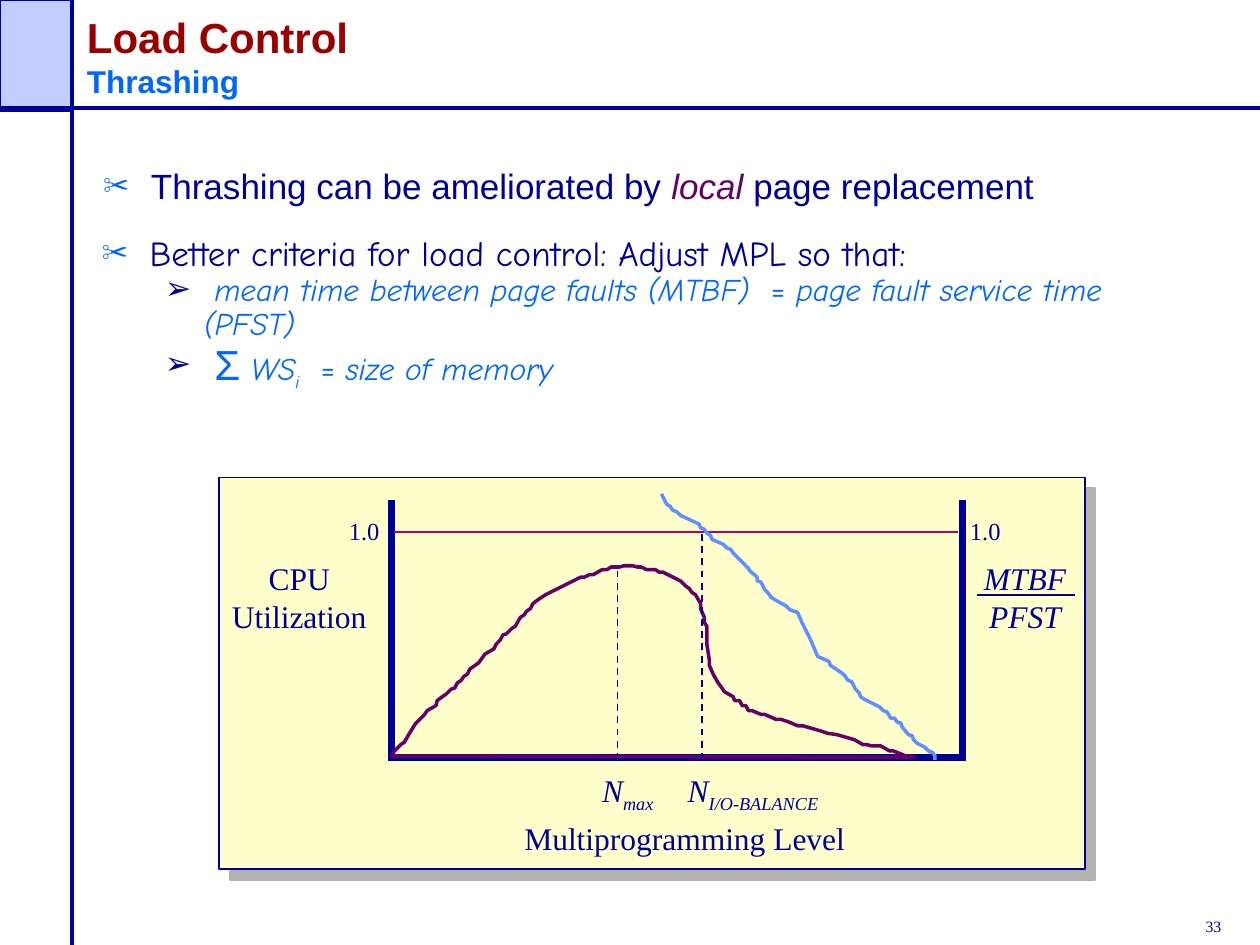
from dataclasses import dataclass

import pptx
import pptx.dml.color
import pptx.enum.dml
import pptx.enum.shapes
import pptx.enum.text
import pptx.oxml
import pptx.oxml.ns
import pptx.util
from lxml import etree

Inches = pptx.util.Inches
Pt = pptx.util.Pt
qn = pptx.oxml.ns.qn
Align = pptx.enum.text.PP_ALIGN


@dataclass(frozen=True)
class Theme:
    navy: str = "000099"
    blue: str = "0066FF"
    red: str = "990000"
    plum: str = "660066"
    magenta: str = "B50069"
    sky: str = "618FFD"
    lavender: str = "C1CEFF"
    cream: str = "FFFFCC"
    gray: str = "B2B2B2"
    sans: str = "Arial"
    hand: str = "Comic Neue"
    serif: str = "Times New Roman"
    title: float = 24
    lead: float = 20
    text: float = 18
    tick: float = 14
    number: float = 9


THEME = Theme()


@dataclass(frozen=True)
class Span:
    text: str
    italic: bool | None = None
    color: str | None = None
    size: float | None = None
    font: str | None = None
    subscript: bool = False


@dataclass(frozen=True)
class Bullet:
    mark: str
    color: str
    margin: float
    hang: float
    percent: int = 100


@dataclass(frozen=True)
class Para:
    spans: tuple[Span, ...]
    size: float = THEME.text
    font: str = THEME.serif
    color: str = THEME.navy
    italic: bool | None = None
    align: Align = Align.LEFT
    spacing: float | None = None
    bullet: Bullet | None = None


@dataclass(frozen=True)
class Label:
    area: tuple[float, float, float, float]
    paras: tuple[Para, ...]
    wrap: bool = False


@dataclass(frozen=True)
class Rule:
    start: tuple[float, float]
    end: tuple[float, float]
    width: float = 1
    color: str = THEME.navy
    dashed: bool = False


@dataclass(frozen=True)
class Curve:
    points: tuple[tuple[float, float], ...]
    color: str
    closed: bool = False


def rgb(color: str) -> pptx.dml.color.RGBColor:
    return pptx.dml.color.RGBColor.from_string(color)


def style(font, size, name, color, italic) -> None:
    if size:
        font.size = Pt(size)
    if name:
        font.name = name
    if color:
        font.color.rgb = rgb(color)
    if italic is not None:
        font.italic = italic


def add_bullet(paragraph, bullet: Bullet) -> None:
    props = paragraph._p.get_or_add_pPr()
    props.set("marL", str(Inches(bullet.margin)))
    props.set("indent", str(-Inches(bullet.hang)))
    tint = etree.SubElement(props, qn("a:buClr"))
    etree.SubElement(tint, qn("a:srgbClr")).set("val", bullet.color)
    etree.SubElement(props, qn("a:buSzPct")).set("val", str(bullet.percent * 1000))
    etree.SubElement(props, qn("a:buFont")).set("typeface", THEME.sans)
    etree.SubElement(props, qn("a:buChar")).set("char", bullet.mark)


def write(paragraph, para: Para) -> None:
    paragraph.alignment = para.align
    if para.spacing:
        paragraph.line_spacing = para.spacing
    if para.bullet:
        add_bullet(paragraph, para.bullet)
    style(paragraph.font, para.size, para.font, para.color, para.italic)
    for span in para.spans:
        run = paragraph.add_run()
        run.text = span.text
        style(run.font, span.size, span.font, span.color, span.italic)
        if span.subscript:
            run._r.get_or_add_rPr().set("baseline", "-25000")


def add_label(page, label: Label) -> None:
    frame = page.shapes.add_textbox(*map(Inches, label.area)).text_frame
    sizing = pptx.enum.text.MSO_AUTO_SIZE
    frame.word_wrap = label.wrap
    frame.auto_size = sizing.NONE if label.wrap else sizing.SHAPE_TO_FIT_TEXT
    for index, para in enumerate(label.paras):
        write(frame.add_paragraph() if index else frame.paragraphs[0], para)


def add_rule(page, rule: Rule) -> None:
    line = page.shapes.add_connector(
        pptx.enum.shapes.MSO_CONNECTOR.STRAIGHT, *map(Inches, rule.start + rule.end))
    line.line.width = Pt(rule.width)
    line.line.color.rgb = rgb(rule.color)
    if rule.dashed:
        line.line.dash_style = pptx.enum.dml.MSO_LINE.DASH
    etree.SubElement(line._element.spPr, qn("a:effectLst"))


def add_panel(page, area: tuple[float, float, float, float], fill: str):
    panel = page.shapes.add_shape(
        pptx.enum.shapes.MSO_SHAPE.RECTANGLE, *map(Inches, area))
    panel.shadow.inherit = False
    panel.fill.solid()
    panel.fill.fore_color.rgb = rgb(fill)
    panel.line.color.rgb = rgb(THEME.navy)
    panel.line.width = Pt(1)
    return panel


def add_drop_shadow(panel) -> None:
    effects = panel._element.spPr.find(qn("a:effectLst"))
    shadow = etree.SubElement(effects, qn("a:outerShdw"))
    shadow.set("dist", str(Pt(8.5)))
    shadow.set("dir", str(45 * 60000))
    shadow.set("algn", "ctr")
    shadow.set("rotWithShape", "0")
    etree.SubElement(shadow, qn("a:srgbClr")).set("val", THEME.gray)


def add_curve(page, curve: Curve) -> None:
    points = [(Inches(x), Inches(y)) for x, y in curve.points]
    builder = page.shapes.build_freeform(*points[0])
    builder.add_line_segments(points[1:], close=curve.closed)
    shape = builder.convert_to_shape()
    shape.shadow.inherit = False
    shape.fill.background()
    shape.line.color.rgb = rgb(curve.color)
    shape.line.width = Pt(2)


def add_title(page) -> None:
    title = page.shapes.title
    title.left, title.top, title.width, title.height = map(Inches, (0.59, 0.18, 8.7, 0.66))
    frame = title.text_frame
    frame.auto_size = pptx.enum.text.MSO_AUTO_SIZE.NONE
    frame.vertical_anchor = pptx.enum.text.MSO_ANCHOR.BOTTOM
    heading = frame.paragraphs[0]
    write(heading, Para((Span("Load Control "),), THEME.title, THEME.sans, THEME.red))
    heading.font.bold = True
    heading.add_line_break()
    subtitle = heading.add_run()
    subtitle.text = "Thrashing"
    style(subtitle.font, THEME.text, None, THEME.blue, None)


SCISSORS = Bullet("✂", THEME.blue, 0.38, 0.38, 75)
ARROW = Bullet("➢", THEME.navy, 0.81, 0.31)
CPU_CURVE = Curve((
    (3.11, 6), (3.13, 5.96), (3.18, 5.91), (3.21, 5.89), (3.25, 5.82), (3.3, 5.74), (3.37, 5.67),
    (3.39, 5.64), (3.46, 5.6), (3.47, 5.56), (3.51, 5.53), (3.54, 5.51), (3.58, 5.47), (3.61, 5.46),
    (3.63, 5.42), (3.66, 5.4), (3.68, 5.37), (3.71, 5.35), (3.73, 5.31), (3.8, 5.26), (3.85, 5.19),
    (3.92, 5.15), (3.94, 5.11), (3.97, 5.08), (3.99, 5.04), (4.02, 5.03), (4.06, 4.99), (4.09, 4.97),
    (4.13, 4.9), (4.16, 4.88), (4.18, 4.85), (4.21, 4.83), (4.23, 4.79), (4.27, 4.76), (4.33, 4.72),
    (4.47, 4.65), (4.61, 4.58), (4.64, 4.58), (4.68, 4.56), (4.71, 4.56), (4.78, 4.52), (4.82, 4.52),
    (4.85, 4.5), (4.92, 4.5), (4.95, 4.49), (5.02, 4.49), (5.06, 4.5), (5.09, 4.5), (5.13, 4.52),
    (5.2, 4.52), (5.23, 4.54), (5.26, 4.54), (5.4, 4.61), (5.44, 4.65), (5.47, 4.67), (5.49, 4.7),
    (5.52, 4.72), (5.56, 4.79), (5.56, 4.83), (5.59, 4.9), (5.59, 4.94), (5.61, 4.97), (5.61, 5.11),
    (5.63, 5.24), (5.63, 5.28), (5.66, 5.35), (5.7, 5.42), (5.73, 5.46), (5.75, 5.49), (5.82, 5.53),
    (5.83, 5.56), (5.87, 5.56), (5.89, 5.6), (5.92, 5.6), (5.94, 5.64), (5.97, 5.64), (6.04, 5.67),
    (6.07, 5.67), (6.16, 5.71), (6.2, 5.71), (6.26, 5.73), (6.33, 5.76), (6.37, 5.76), (6.44, 5.78),
    (6.51, 5.8), (6.57, 5.82), (6.64, 5.83), (6.71, 5.85), (6.78, 5.87), (6.85, 5.91), (6.88, 5.91),
    (6.92, 5.92), (6.99, 5.92), (7.06, 5.96), (7.09, 5.96), (7.19, 6), (7.23, 6), (7.26, 6.01),
), THEME.plum, closed=True)
RATIO_CURVE = Curve((
    (5.25, 3.92), (5.29, 4), (5.32, 4.02), (5.34, 4.05), (5.37, 4.06), (5.4, 4.09), (5.55, 4.16),
    (5.56, 4.19), (5.59, 4.2), (5.61, 4.23), (5.64, 4.25), (5.65, 4.28), (5.74, 4.32), (5.77, 4.35),
    (5.8, 4.36), (5.82, 4.39), (5.94, 4.51), (5.95, 4.53), (6.01, 4.58), (6.01, 4.61), (6.04, 4.62),
    (6.07, 4.68), (6.1, 4.71), (6.12, 4.74), (6.15, 4.76), (6.24, 4.81), (6.27, 4.84), (6.33, 4.86),
    (6.37, 4.95), (6.43, 5.07), (6.49, 5.21), (6.58, 5.25), (6.59, 5.28), (6.68, 5.34), (6.71, 5.37),
    (6.73, 5.4), (6.76, 5.41), (6.79, 5.47), (6.82, 5.5), (6.83, 5.53), (6.86, 5.55), (6.98, 5.61),
    (7.01, 5.64), (7.04, 5.65), (7.07, 5.7), (7.1, 5.7), (7.12, 5.73), (7.15, 5.74), (7.16, 5.77),
    (7.21, 5.83), (7.24, 5.84), (7.25, 5.87), (7.28, 5.9), (7.34, 5.93), (7.37, 5.96), (7.4, 5.97),
    (7.42, 6), (7.42, 6.03),
), THEME.sky)


def centered(*lines: str, italic: bool | None = None, spacing: float | None = None) -> tuple[Para, ...]:
    return tuple(Para((Span(line),), italic=italic, align=Align.CENTER, spacing=spacing) for line in lines)


def tick(left: float) -> Label:
    return Label((left, 4.05, 0.5, 0.33), (Para((Span("1.0"),), THEME.tick),))


def level(left: float, width: float, name: str) -> Label:
    return Label((left, 6.07, width, 0.44), (Para((Span("N"), Span(name, subscript=True)), italic=True),))


def criterion(*spans: Span) -> Para:
    return Para(spans, THEME.text, THEME.hand, THEME.blue, spacing=0.9, bullet=ARROW)


LABELS = (
    Label((9.47, 7.23, 0.72, 0.25), (Para((Span("33"),), THEME.number),)),
    Label((0.72, 1.26, 8.9, 0.76), (
        Para((Span("Thrashing can be ameliorated by "), Span("local", True, THEME.plum),
              Span(" page replacement")), THEME.lead, THEME.sans, bullet=SCISSORS),), True),
    Label((0.71, 1.79, 8.8, 1.29), (
        Para((Span("Better criteria for load control: Adjust MPL so that:"),),
             THEME.lead, THEME.hand, bullet=SCISSORS),
        criterion(Span(" "), Span("mean time between page faults (MTBF)  ", True), Span("= "),
                  Span("page fault service time (PFST)", True)),
        criterion(Span(" "), Span("Σ", size=THEME.title, font=THEME.sans), Span(" "), Span("WS", True),
                  Span("i", True, subscript=True), Span("  = "), Span("size of memory", True))), True),
    tick(2.67),
    tick(7.6),
    Label((1.74, 4.39, 1.27, 0.7), centered("CPU", "Utilization")),
    Label((7.71, 4.39, 0.85, 0.7), centered("MTBF", "PFST", italic=True)),
    Label((4.06, 6.51, 2.75, 0.34), centered("Multiprogramming Level", spacing=0.8)),
    level(4.68, 0.61, "max"),
    level(5.36, 1.24, "I/O-BALANCE"),
)
FRAME_RULES = (Rule((0, 0.86), (10, 0.86), 2.25), Rule((0.57, 0), (0.57, 7.5), 2.25))
AXES = (Rule((3.11, 3.97), (3.11, 6.04), 4), Rule((3.1, 6.01), (7.65, 6.01), 4),
        Rule((7.64, 3.97), (7.64, 6.04), 4))
GUIDES = (Rule((3.13, 4.22), (7.6, 4.22), color=THEME.magenta), Rule((7.75, 4.72), (8.53, 4.72)),
          Rule((4.9, 6.03), (4.9, 4.51), dashed=True), Rule((5.57, 6.03), (5.57, 4.22), dashed=True))


def main() -> None:
    deck = pptx.Presentation()
    deck.slide_width, deck.slide_height = Inches(10), Inches(7.5)
    page = deck.slides.add_slide(deck.slide_layouts[5])
    add_title(page)
    add_panel(page, (0, 0, 0.57, 0.88), THEME.lavender)
    add_drop_shadow(add_panel(page, (1.74, 3.79, 6.87, 3.11), THEME.cream))
    for rule in FRAME_RULES + AXES:
        add_rule(page, rule)
    add_curve(page, CPU_CURVE)
    for rule in GUIDES:
        add_rule(page, rule)
    add_curve(page, RATIO_CURVE)
    for label in LABELS:
        add_label(page, label)
    deck.save("out.pptx")


if __name__ == "__main__":
    main()
